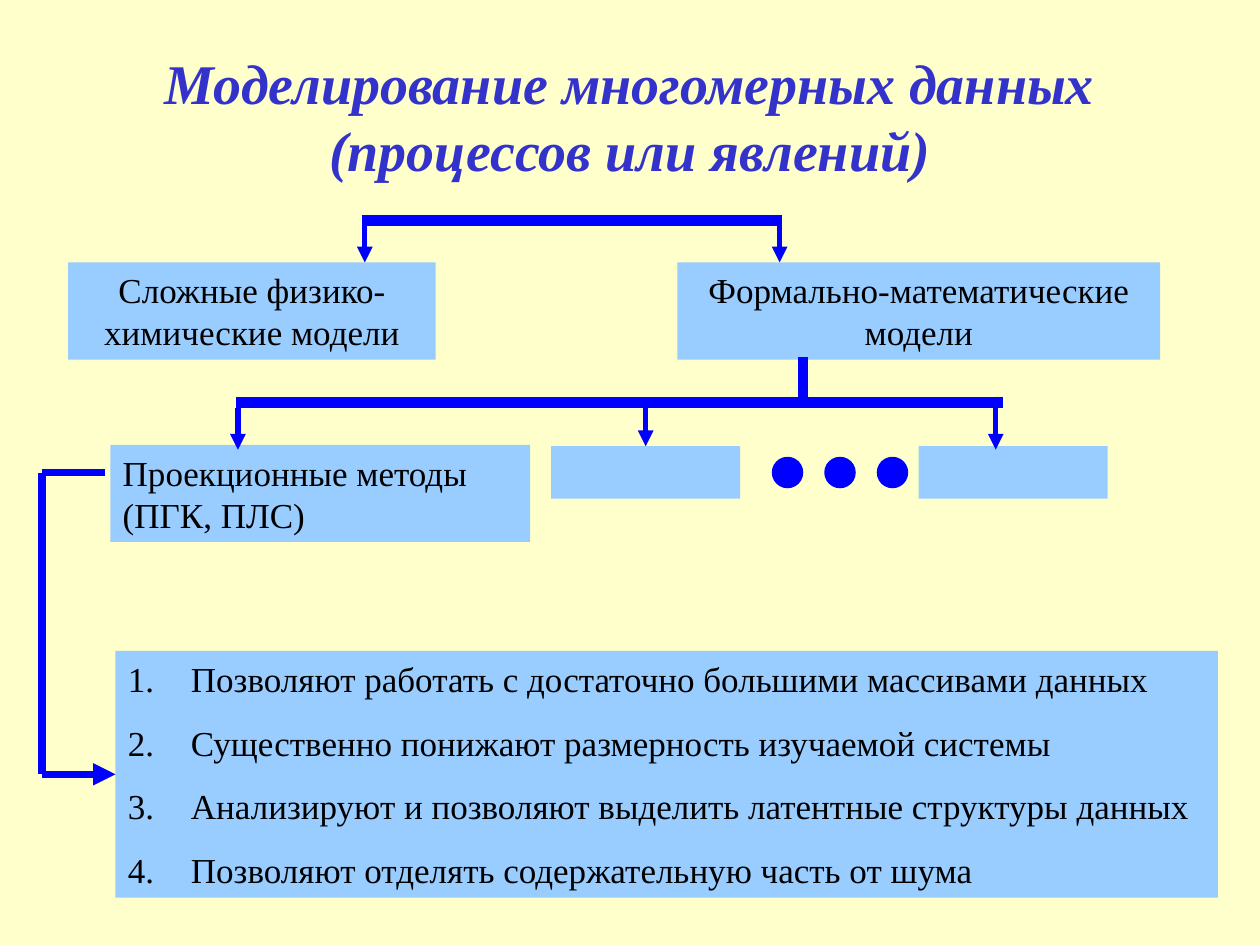
from pptx import Presentation
from pptx.dml.color import RGBColor
from pptx.enum.shapes import MSO_CONNECTOR, MSO_SHAPE
from pptx.enum.text import MSO_ANCHOR, PP_ALIGN
from pptx.oxml.ns import qn
from pptx.util import Pt
from lxml.etree import SubElement

# Content
TITLE = "Моделирование многомерных данных (процессов или явлений)"
MODELS = [
    ("Сложные физико-химические модели", 39, 210),
    ("Формально-математические модели", 387, 276),
]
METHOD = "Проекционные методы (ПГК, ПЛС)"
GAINS = [
    "Позволяют работать с достаточно большими массивами данных",
    "Существенно понижают размерность изучаемой системы",
    "Анализируют и позволяют выделить латентные структуры данных",
    "Позволяют отделять содержательную часть от шума",
]

# Look
PAPER, SKY, BLUE, INDIGO, BLACK = "FFFFCC", "99CCFF", "0000FF", "3333CC", "000000"
FONT = "Times New Roman"
THICK, MID, THIN = 6, 4.25, 3

deck = Presentation()
deck.slide_width, deck.slide_height = Pt(720), Pt(540)
slide = deck.slides.add_slide(deck.slide_layouts[6])
shapes = slide.shapes


def color(code):
    return RGBColor.from_string(code)


def write(shape, lines, size=20, ink=BLACK, bold=False, italic=False,
          align=PP_ALIGN.CENTER, anchor=MSO_ANCHOR.TOP, gap=12.5, number=False):
    frame = shape.text_frame
    frame.word_wrap = True
    frame.vertical_anchor = anchor
    for i, line in enumerate(lines):
        para = frame.paragraphs[0] if i == 0 else frame.add_paragraph()
        para.alignment = align
        if i:
            para.space_before = Pt(gap)
        if number:
            props = para._p.get_or_add_pPr()
            props.set("marL", str(Pt(36)))
            props.set("indent", str(-Pt(36)))
            SubElement(props, qn("a:buFont"), typeface=FONT)
            SubElement(props, qn("a:buAutoNum"), type="arabicPeriod")
        run = para.add_run()
        run.text = line
        font = run.font
        font.name, font.size = FONT, Pt(size)
        font.bold, font.italic = bold, italic
        font.color.rgb = color(ink)


def block(x, y, w, h, fill=SKY, kind=MSO_SHAPE.RECTANGLE):
    shape = shapes.add_shape(kind, Pt(x), Pt(y), Pt(w), Pt(h))
    shape.shadow.inherit = False
    shape.fill.solid()
    shape.fill.fore_color.rgb = color(fill)
    shape.line.fill.background()
    return shape


def line(x1, y1, x2, y2, width, arrow=False):
    link = shapes.add_connector(MSO_CONNECTOR.STRAIGHT, Pt(x1), Pt(y1), Pt(x2), Pt(y2))
    link.line.width = Pt(width)
    link.line.color.rgb = color(BLUE)
    if arrow:
        SubElement(link.line._get_or_add_ln(), qn("a:tailEnd"), type="triangle")
    SubElement(link._element.spPr, qn("a:effectLst"))
    return link


slide.background.fill.solid()
slide.background.fill.fore_color.rgb = color(PAPER)

# Title
title = shapes.add_textbox(Pt(54), Pt(24), Pt(612), Pt(84))
write(title, [TITLE], size=32, ink=INDIGO, bold=True, italic=True,
      anchor=MSO_ANCHOR.MIDDLE)

# Two kinds of models
for text, x, w in MODELS:
    write(block(x, 150, w, 55.5), [text])
line(207, 126, 447, 126, THICK)
for x in (208.5, 445.5):
    line(x, 126, x, 150, THIN, arrow=True)

# Methods, with dots between the two empty boxes
write(block(63, 254.25, 240, 55.5), [METHOD], align=PP_ALIGN.LEFT)
blank = block(315, 255, 108, 30)
for i in range(3):
    block(441 + 30 * i, 261, 18, 18, BLUE, MSO_SHAPE.FLOWCHART_CONNECTOR)
block(525, 255, 108, 30)

# Branch to the methods
line(459, 204, 459, 228, THICK)
line(135, 230, 573, 230, THICK)
for x in (136, 569):
    line(x, 233, x, 257, THIN, arrow=True)
line(369, 233, 369, 255, THIN, arrow=True).end_connect(blank, 0)

# Gains of the projection methods
gains = block(66, 372, 630, 141)
write(gains, GAINS, align=PP_ALIGN.LEFT, number=True)

# Bracket from the method to its gains
low = 372 + 141 / 2
line(60, 270, 24, 270, MID)
line(24, 270, 24, low, MID)
line(24, low, 66, low, MID, arrow=True).end_connect(gains, 1)

deck.save("out.pptx")
